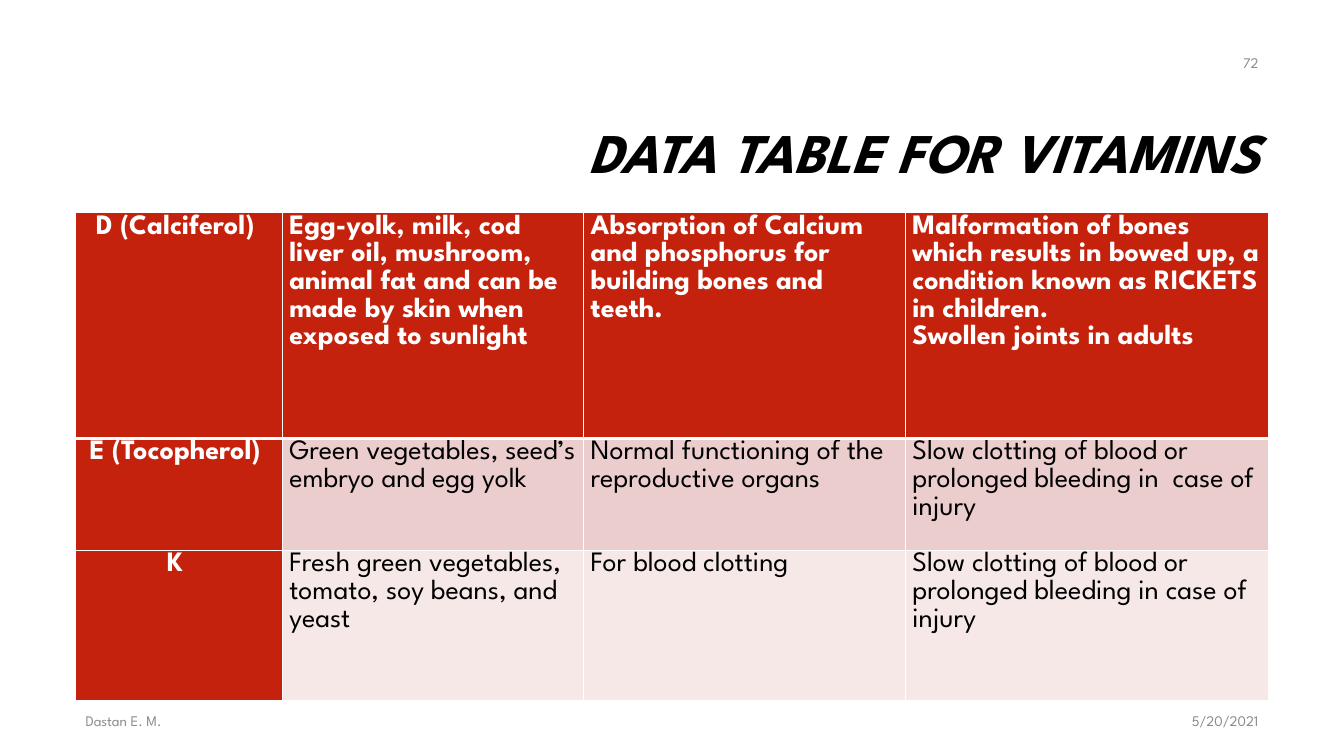
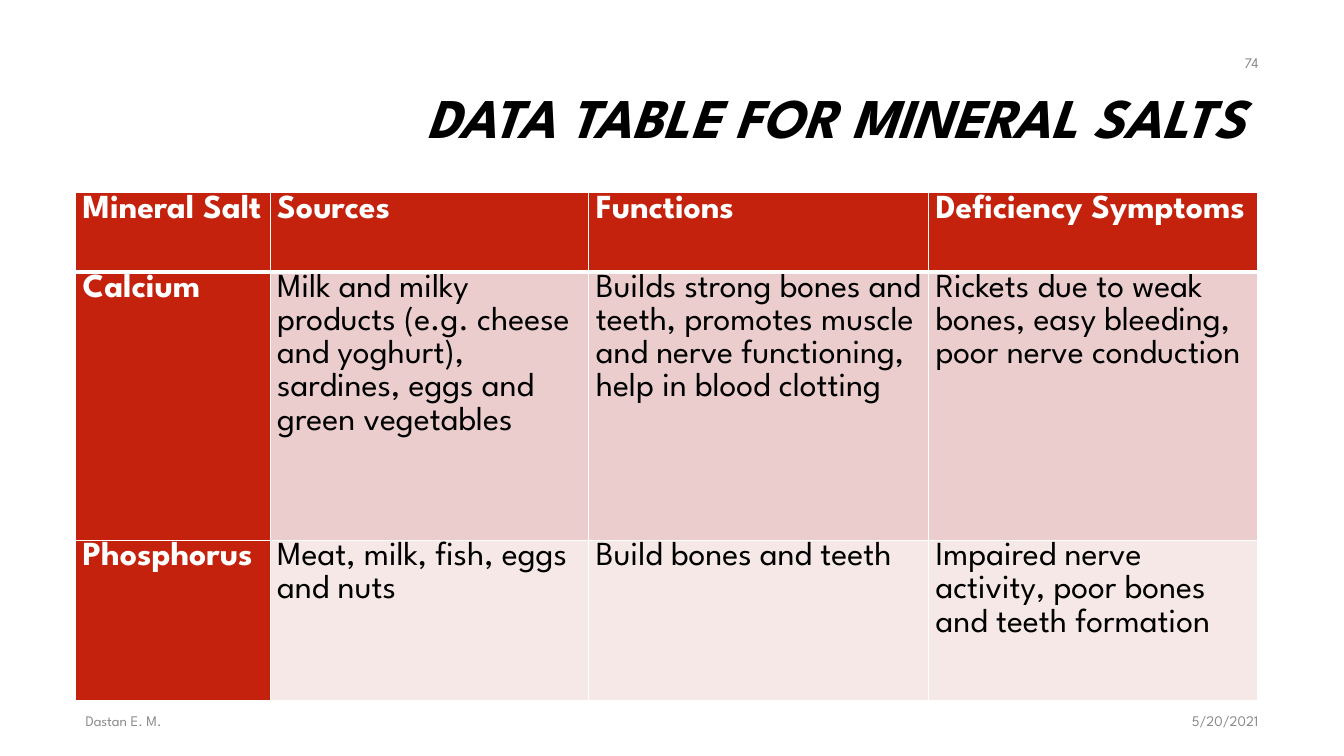
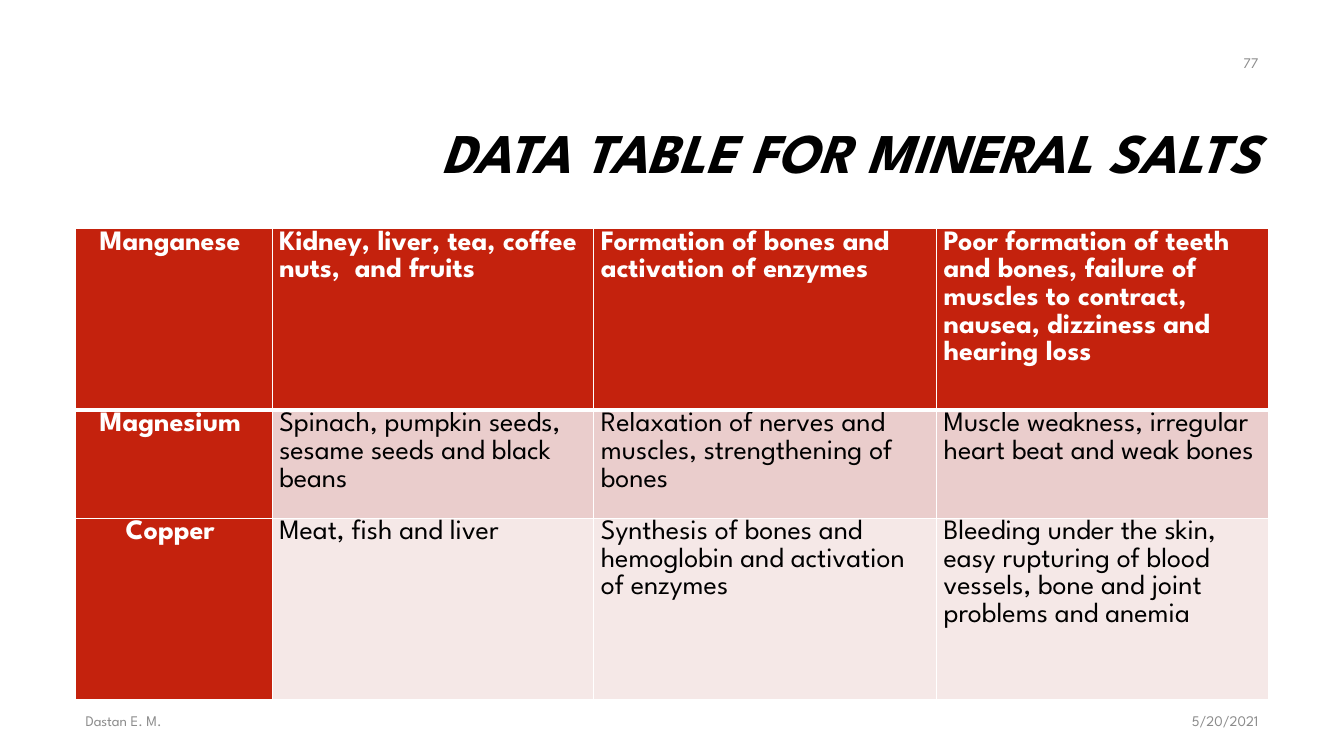
import pptx
import pptx.dml.color
import pptx.enum.text
import pptx.oxml
import pptx.oxml.ns
import pptx.util

FONT = "League Spartan"
WHITE, BLACK, RED, GRAY = "FFFFFF", "000000", "C4220D", "8C8C8C"
BAND_FILLS = ("F5E8E7", "EACDCC")
LEFT, CENTER, RIGHT = (
    pptx.enum.text.PP_ALIGN.LEFT,
    pptx.enum.text.PP_ALIGN.CENTER,
    pptx.enum.text.PP_ALIGN.RIGHT,
)
MIDDLE = pptx.enum.text.MSO_ANCHOR.MIDDLE
SLIDE_WIDTH, SLIDE_HEIGHT = 13.33, 7.5
MARGIN = 0.75
CONTENT_RIGHT = SLIDE_WIDTH - MARGIN
TITLE_WIDTH, TITLE_HEIGHT = 9.42, 1.41
FOOTER_TOP, NUMBER_TOP, NOTE_HEIGHT = 6.95, 0.42, 0.4

VITAMINS = [
    ["D (Calciferol) ",
     "Egg-yolk, milk, cod liver oil, mushroom, animal fat and can be made by skin when exposed to sunlight",
     "Absorption of Calcium and phosphorus for building bones and teeth.",
     "Malformation of bones which results in bowed up, a condition known as RICKETS in children.\n"
     "Swollen joints in adults"],
    ["E (Tocopherol) ",
     "Green vegetables, seed’s embryo and egg yolk",
     "Normal functioning of the reproductive organs",
     "Slow clotting of blood or prolonged bleeding in  case of injury"],
    ["K ",
     "Fresh green vegetables, tomato, soy beans, and yeast",
     "For blood clotting",
     "Slow clotting of blood or prolonged bleeding in case of injury"],
]
MAIN_MINERALS = [
    ["Mineral Salt", "Sources", "Functions", "Deficiency Symptoms"],
    ["Calcium",
     "Milk and milky products (e.g. cheese and yoghurt), sardines, eggs and green vegetables",
     "Builds strong bones and teeth, promotes muscle and nerve functioning, help in blood clotting",
     "Rickets due to weak bones, easy bleeding, poor nerve conduction"],
    ["Phosphorus",
     "Meat, milk, fish, eggs and nuts",
     "Build bones and teeth",
     "Impaired nerve activity, poor bones and teeth formation"],
]
TRACE_MINERALS = [
    ["Manganese ",
     "Kidney, liver, tea, coffee nuts,  and fruits",
     "Formation of bones and activation of enzymes",
     "Poor formation of teeth and bones, failure of muscles to contract, nausea, dizziness and hearing loss"],
    ["Magnesium ",
     "Spinach, pumpkin seeds, sesame seeds and black beans",
     "Relaxation of nerves and muscles, strengthening of bones",
     "Muscle weakness, irregular heart beat and weak bones"],
    ["Copper ",
     "Meat, fish and liver",
     "Synthesis of bones and hemoglobin and activation of enzymes",
     "Bleeding under the skin, easy rupturing of blood vessels, bone and joint problems and anemia"],
]


def color(hex_code):
    """Return the colour for a hex string."""
    return pptx.dml.color.RGBColor.from_string(hex_code)


def inches(*lengths):
    """Return the lengths in inches as slide units."""
    return [pptx.util.Inches(length) for length in lengths]


def write_text(frame, text, size, ink=BLACK, bold=False, italic=False, align=LEFT, spacing=1.0):
    """Fill a text frame with one formatted paragraph per line of text."""
    frame.word_wrap = True
    frame.text = text
    for paragraph in frame.paragraphs:
        paragraph.alignment = align
        paragraph.line_spacing = spacing
        for run in paragraph.runs:
            run.font.name = FONT
            run.font.size = pptx.util.Pt(size)
            run.font.bold = bold
            run.font.italic = italic
            run.font.color.rgb = color(ink)


def add_label(slide, box, text, size, **text_format):
    """Add a vertically centred text box."""
    frame = slide.shapes.add_textbox(*inches(*box)).text_frame
    frame.vertical_anchor = MIDDLE
    write_text(frame, text, size, **text_format)


def set_borders(cell, top, bottom):
    """Draw white cell borders with the given top and bottom widths in points."""
    properties = cell._tc.get_or_add_tcPr()
    widths = {"lnL": 1, "lnR": 1, "lnT": top, "lnB": bottom}
    for position, (side, width) in enumerate(widths.items()):
        border = pptx.oxml.parse_xml(
            f'<a:{side} {pptx.oxml.ns.nsdecls("a")} w="{pptx.util.Pt(width)}">'
            f'<a:solidFill><a:srgbClr val="{WHITE}"/></a:solidFill></a:{side}>'
        )
        properties.insert(position, border)


def format_cell(cell, text, row, column, size, label_align):
    """Style a cell as header, row label or banded body."""
    strong = row == 0 or column == 0
    cell.margin_left, cell.margin_right, cell.margin_top, cell.margin_bottom = inches(0.07, 0.07, 0, 0)
    cell.fill.solid()
    cell.fill.fore_color.rgb = color(RED if strong else BAND_FILLS[row % 2])
    set_borders(cell, top=3 if row == 1 else 1, bottom=3 if row == 0 else 1)
    write_text(cell.text_frame, text, size, ink=WHITE if strong else BLACK, bold=strong,
               align=label_align if column == 0 else LEFT, spacing=1.07)


def add_nutrient_table(slide, entries, top, widths, heights, size, label_align):
    """Add a nutrient table with a red header row and label column."""
    box = inches(MARGIN, top, sum(widths), sum(heights))
    table = slide.shapes.add_table(len(heights), len(widths), *box).table
    for column, width in zip(table.columns, inches(*widths)):
        column.width = width
    for row, height in zip(table.rows, inches(*heights)):
        row.height = height
    for row, texts in enumerate(entries):
        for column, text in enumerate(texts):
            format_cell(table.cell(row, column), text, row, column, size, label_align)


def add_nutrient_slide(deck, number, title, entries, top, widths, heights,
                       size=20, label_align=CENTER, title_right=12.59, title_top=0.84):
    """Add a slide with title, nutrient table, footer and slide number."""
    slide = deck.slides.add_slide(deck.slide_layouts[6])
    add_label(slide, (title_right - TITLE_WIDTH, title_top, TITLE_WIDTH, TITLE_HEIGHT),
              title, 40, bold=True, italic=True, align=RIGHT, spacing=0.9)
    add_nutrient_table(slide, entries, top, widths, heights, size, label_align)
    notes = [
        ("5/20/2021", CONTENT_RIGHT - 3.18, FOOTER_TOP, 3.18, RIGHT),
        ("Dastan E. M.", MARGIN, FOOTER_TOP, 8.5, LEFT),
        (str(number), CONTENT_RIGHT - 3, NUMBER_TOP, 3, RIGHT),
    ]
    for text, left, note_top, width, align in notes:
        add_label(slide, (left, note_top, width, NOTE_HEIGHT), text, 10.5, ink=GRAY, align=align)


def main():
    """Build and save the deck."""
    deck = pptx.Presentation()
    deck.slide_width, deck.slide_height = inches(SLIDE_WIDTH, SLIDE_HEIGHT)
    add_nutrient_slide(deck, 72, "DATA TABLE FOR VITAMINS", VITAMINS, top=2.11,
                       widths=(2.05, 2.99, 3.19, 3.6), heights=(2.24, 1.11, 1.49))
    add_nutrient_slide(deck, 74, "DATA TABLE FOR MINERAL SALTS", MAIN_MINERALS, top=1.91,
                       widths=(1.93, 3.16, 3.37, 3.26), heights=(0.79, 2.66, 1.59),
                       size=24, label_align=LEFT, title_right=12.44, title_top=0.49)
    add_nutrient_slide(deck, 77, "DATA TABLE FOR MINERAL SALTS", TRACE_MINERALS, top=2.27,
                       widths=(1.95, 3.19, 3.4, 3.29), heights=(1.8, 1.07, 1.8))
    deck.save("out.pptx")


if __name__ == "__main__":
    main()
